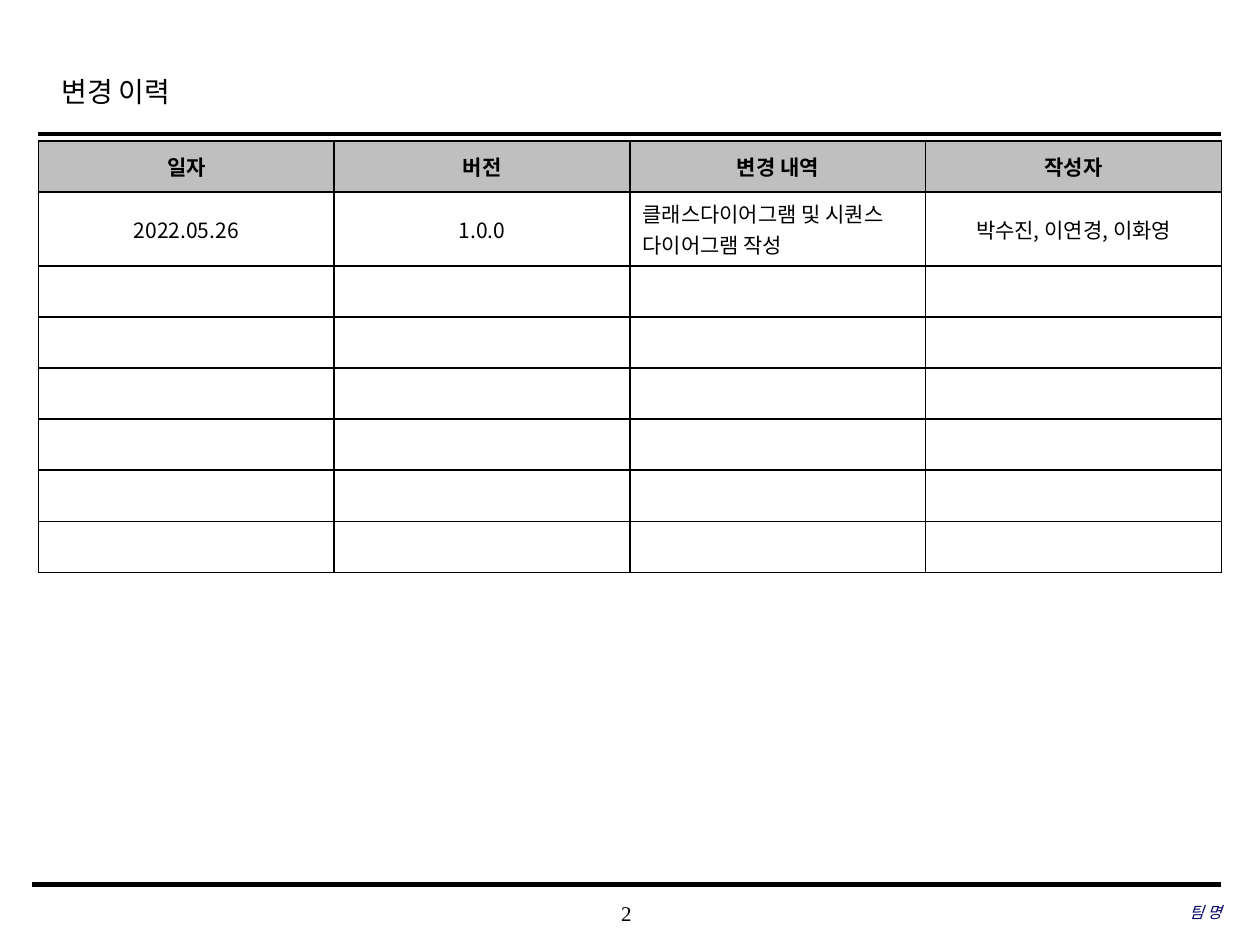
from lxml import etree
from pptx import Presentation
from pptx import util as u
from pptx.dml.color import RGBColor
from pptx.enum import shapes, text
from pptx.oxml import ns

BLACK = RGBColor(0x00, 0x00, 0x00)
WHITE = RGBColor(0xFF, 0xFF, 0xFF)
GRAY = RGBColor(0xBF, 0xBF, 0xBF)
NAVY = RGBColor(0x00, 0x00, 0x66)
SERIF = "Times New Roman"
SANS = "Noto Sans CJK KR"
LEFT, CENTER, RIGHT = (text.PP_ALIGN.LEFT, text.PP_ALIGN.CENTER,
                       text.PP_ALIGN.RIGHT)
TOP, MIDDLE = text.MSO_ANCHOR.TOP, text.MSO_ANCHOR.MIDDLE


class Deck:
    """Holds the style and the current slide."""

    def __init__(self, prs):
        self.s = prs.slides.add_slide(prs.slide_layouts[6])
        self.cell_size = 12
        self.border = 1

    def run(self, p, words, size, font, color=BLACK, bold=False, italic=False):
        r = p.add_run()
        r.text = words
        r.font.size = u.Pt(size)
        r.font.name = font
        r.font.color.rgb = color
        r.font.bold = bold
        r.font.italic = italic
        ea = etree.SubElement(r.font._element, ns.qn("a:ea"))
        ea.set("typeface", SANS)

    def text(self, x, y, w, h, words, size, align=LEFT, anchor=MIDDLE,
             inset=(0, 0), spacing=1.0, **style):
        sp = self.s.shapes.add_textbox(u.Pt(x), u.Pt(y), u.Pt(w), u.Pt(h))
        tf = sp.text_frame
        tf.word_wrap = True
        tf.vertical_anchor = anchor
        tf.margin_left = tf.margin_right = u.Pt(inset[0])
        tf.margin_top = tf.margin_bottom = u.Pt(inset[1])
        p = tf.paragraphs[0]
        p.alignment = align
        p.line_spacing = spacing
        self.run(p, words, size, SERIF, **style)

    def rule(self, x1, x2, y, width):
        sp = self.s.shapes.add_connector(
            shapes.MSO_CONNECTOR.STRAIGHT, u.Pt(x1), u.Pt(y), u.Pt(x2), u.Pt(y))
        sp.line.color.rgb = BLACK
        sp.line.width = u.Pt(width)
        etree.SubElement(sp._element.spPr, ns.qn("a:effectLst"))

    def cell(self, cell, words, fill, align, bold):
        tcPr = cell._tc.get_or_add_tcPr()
        for side in ("lnL", "lnR", "lnT", "lnB"):
            ln = etree.SubElement(tcPr, ns.qn("a:" + side))
            ln.set("w", str(u.Pt(self.border)))
            solid = etree.SubElement(ln, ns.qn("a:solidFill"))
            etree.SubElement(solid, ns.qn("a:srgbClr")).set("val", str(BLACK))
        cell.fill.solid()
        cell.fill.fore_color.rgb = fill
        cell.vertical_anchor = MIDDLE
        p = cell.text_frame.paragraphs[0]
        p.alignment = align
        if words:
            self.run(p, words, self.cell_size, SANS, bold=bold)
        else:
            end = etree.SubElement(p._p, ns.qn("a:endParaRPr"))
            end.set("sz", str(self.cell_size * 100))

    def table(self, x, y, col_w, heights, rows):
        cols = len(rows[0])
        frame = self.s.shapes.add_table(
            len(heights), cols, u.Pt(x), u.Pt(y),
            u.Pt(col_w * cols), u.Pt(sum(heights)))
        table = frame.table
        table.horz_banding = False
        for col in table.columns:
            col.width = u.Pt(col_w)
        for i, height in enumerate(heights):
            table.rows[i].height = u.Pt(height)
            words = rows[i] if i < len(rows) else [""] * cols
            for j, word in enumerate(words):
                # Only the change description is left-aligned
                align = LEFT if i and j == 2 else CENTER
                self.cell(table.cell(i, j), word, WHITE if i else GRAY,
                          align, bold=i == 0)


def main():
    prs = Presentation()
    prs.slide_width, prs.slide_height = u.Pt(720), u.Pt(540)
    d = Deck(prs)

    # Header and footer rules, page number
    d.text(283, 510, 150, 24, "2", 12, CENTER)
    d.rule(22, 698, 76.5, 2.5)
    d.rule(18, 698, 505.5, 3)

    # Title and team name
    d.text(28, 35.5, 543.5, 36, "변경 이력", 16, anchor=TOP,
           inset=(7.2, 3.6), spacing=1.2)
    d.text(477.5, 509, 220.5, 24, "팀 명", 9, RIGHT, color=NAVY, italic=True)

    # Revision history: header, one entry, six empty rows
    d.table(22, 80.5, 169, [29.2, 42.2] + [29.2] * 6, [
        ["일자", "버전", "변경 내역", "작성자"],
        ["2022.05.26", "1.0.0", "클래스다이어그램 및 시퀀스 다이어그램 작성",
         "박수진, 이연경, 이화영"],
    ])

    prs.save("out.pptx")


if __name__ == "__main__":
    main()
